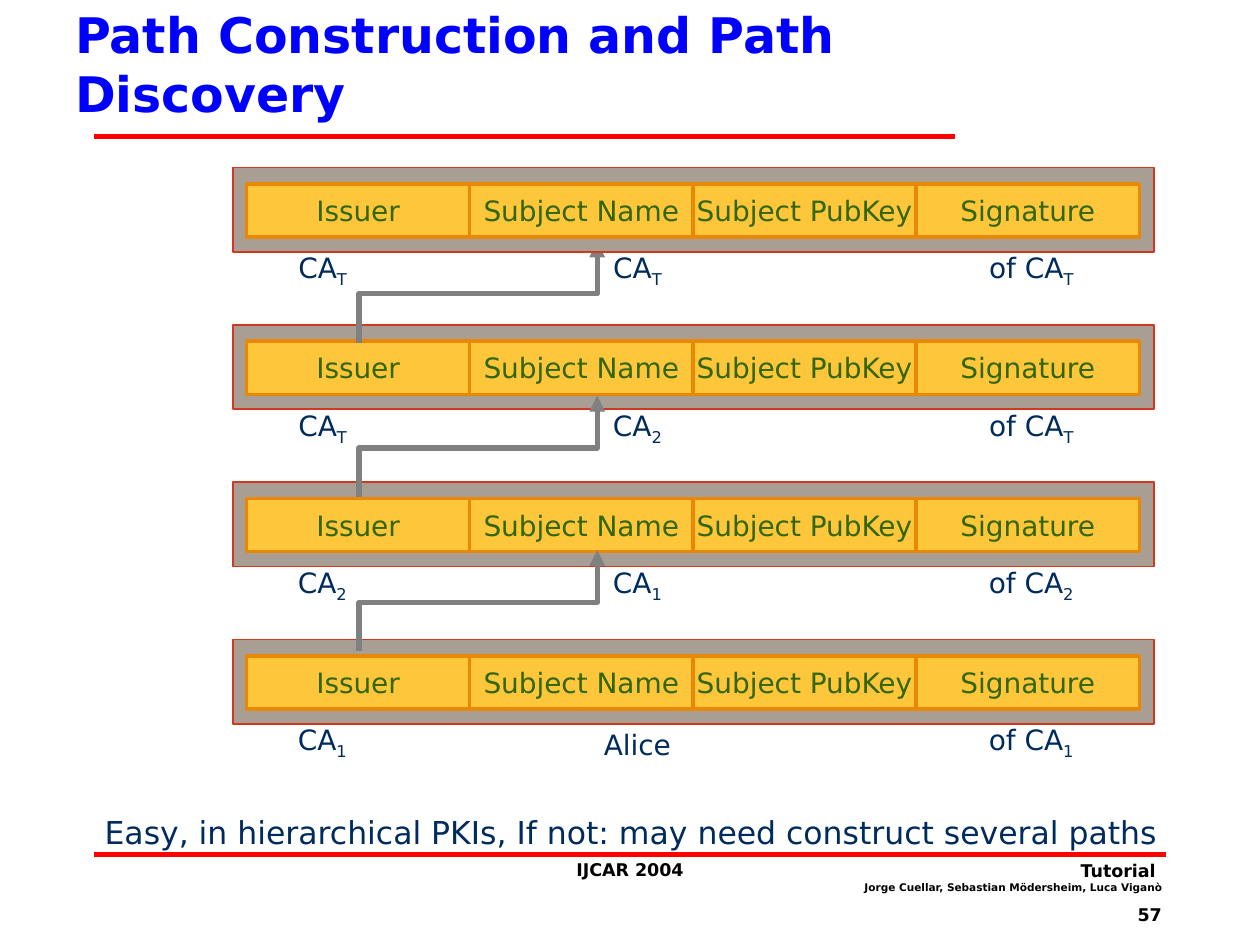
from dataclasses import dataclass

from lxml import etree
from pptx import Presentation
from pptx import util as u
from pptx.dml.color import RGBColor
from pptx.enum import shapes, text
from pptx.oxml.ns import qn

Cm, Pt = u.Cm, u.Pt
ALIGN, ANCHOR = text.PP_ALIGN, text.MSO_ANCHOR


@dataclass(frozen=True)
class Theme:
    font: str = "DejaVu Sans"
    title: str = "0000FF"
    rule: str = "FF0000"
    footer: str = "000000"
    body: str = "002B5D"
    frame: str = "A89E94"
    frame_line: str = "D1381F"
    field: str = "FEC63A"
    field_line: str = "E98807"
    field_text: str = "336600"
    arrow: str = "808080"
    title_size: int = 28
    note_size: int = 18
    label_size: int = 16
    footer_size: int = 10
    authors_size: int = 6


THEME = Theme()


def write(sp, paragraphs, color, align=ALIGN.LEFT, bold=False, spacing=None, **frame):
    """Fill a shape with (text, size) paragraphs; text after "_" is a subscript."""
    tf = sp.text_frame
    values = dict(word_wrap=True, vertical_anchor=ANCHOR.TOP, margin_left=Cm(0.25),
                  margin_right=Cm(0.25), margin_top=Cm(0.13), margin_bottom=Cm(0.13))
    for name, value in (values | frame).items():
        setattr(tf, name, value)
    for i, (words, size) in enumerate(paragraphs):
        p = tf.add_paragraph() if i else tf.paragraphs[0]
        p.alignment, p.line_spacing = align, spacing
        for j, part in enumerate(words.split("_")):
            r = p.add_run()
            r.text = part
            for name, value in dict(name=THEME.font, size=Pt(size), bold=bold).items():
                setattr(r.font, name, value)
            r.font.color.rgb = RGBColor.from_string(color)
            if j:
                r.font._element.set("baseline", "-25000")


def paint(sp, line, width, fill=None):
    sp.shadow.inherit = False
    sp.line.color.rgb = RGBColor.from_string(line)
    sp.line.width = Pt(width)
    if fill:
        sp.fill.solid()
        sp.fill.fore_color.rgb = RGBColor.from_string(fill)
    else:
        sp.fill.background()


prs = Presentation()
prs.slide_width, prs.slide_height = Cm(25.4), Cm(19.05)
s = prs.slides.add_slide(prs.slide_layouts[6])

# Red rules below the title and above the footer
for right, y in ((19.25, 2.75), (23.5, 17.22)):
    rule = s.shapes.add_connector(shapes.MSO_CONNECTOR.STRAIGHT, Cm(1.9), Cm(y), Cm(right), Cm(y))
    rule.line.color.rgb = RGBColor.from_string(THEME.rule)
    rule.line.width = Pt(3)
    etree.SubElement(rule._element.spPr, qn("a:effectLst"))

# Footer, title and closing note
size = THEME.footer_size
footer = dict(color=THEME.footer, bold=True)
texts = [
    ((21.64, 18.09, 2.03, 0.64), [("57", size)], dict(footer, align=ALIGN.RIGHT)),
    ((10.06, 17.19, 5.28, 1.27), [("IJCAR 2004", size)], dict(footer, align=ALIGN.CENTER)),
    ((15.34, 17.2, 8.33, 1.27),
     [("Tutorial ", size),
      ("Jorge Cuellar, Sebastian Mödersheim, Luca Viganò", THEME.authors_size)],
     dict(footer, align=ALIGN.RIGHT, margin_left=0)),
    ((1.27, 0, 16.99, 2.57), [("Path Construction and Path Discovery", THEME.title_size)],
     dict(color=THEME.title, bold=True, vertical_anchor=ANCHOR.MIDDLE)),
    ((2.11, 16.31, 22.61, 0.97),
     [("Easy, in hierarchical PKIs, If not: may need construct several paths", THEME.note_size)],
     dict(color=THEME.body, spacing=Pt(24), margin_left=0, margin_top=0)),
]
for box, paragraphs, style in texts:
    write(s.shapes.add_textbox(*map(Cm, box)), paragraphs, **style)

# Certificates, from the end user at the bottom up to the trust anchor
FIELDS = ["Issuer", "Subject Name", "Subject PubKey", "Signature"]
FIELD_WIDTH = 4.5
LABEL_PLACES = [(4.24, ALIGN.RIGHT), (11.35, ALIGN.CENTER), (18.89, ALIGN.RIGHT)]
CERTIFICATES = [  # issuer, subject, signature
    ("CA_T", "CA_T", "of CA_T"),
    ("CA_T", "CA_2", "of CA_T"),
    ("CA_2", "CA_1", "of CA_2"),
    ("CA_1", "Alice", "of CA_1"),
]
LAST = len(CERTIFICATES) - 1

for row in range(LAST, -1, -1):
    top = 3.38 + 3.17 * row
    bars = [(4.7, top, 18.57, 1.7, None)]
    bars += [(4.97 + FIELD_WIDTH * i, top + 0.33, FIELD_WIDTH, 1.07, name)
             for i, name in enumerate(FIELDS)]
    # The topmost arrow runs behind its certificate, the others in front
    steps = ["bars"] if row == LAST else ["arrow", "bars"] if row == 0 else ["bars", "arrow"]
    for step in steps:
        if step == "arrow":
            start = 6.91 + 3.11 * row
            bend, tip = start - 0.99, start - 2.04
            route = s.shapes.build_freeform(Cm(7.24), Cm(start))
            corners = [(7.24, bend), (12.04, bend), (12.04, tip)]
            route.add_line_segments([(Cm(x), Cm(y)) for x, y in corners], close=False)
            arrow = route.convert_to_shape()
            paint(arrow, THEME.arrow, 3)
            etree.SubElement(arrow.line._get_or_add_ln(), qn("a:tailEnd"), type="triangle")
            continue
        for x, y, width, height, name in bars:
            sp = s.shapes.add_shape(shapes.MSO_SHAPE.RECTANGLE, Cm(x), Cm(y), Cm(width), Cm(height))
            if name:
                paint(sp, THEME.field_line, 2, THEME.field)
                write(sp, [(name, THEME.label_size)], THEME.field_text, ALIGN.CENTER,
                      word_wrap=False, vertical_anchor=ANCHOR.MIDDLE)
            else:
                paint(sp, THEME.frame_line, 1, THEME.frame)
    for label, (x, align) in zip(CERTIFICATES[row], LABEL_PLACES):
        sp = s.shapes.add_textbox(Cm(x), Cm(top + 1.6), Cm(3), Cm(0.97))
        write(sp, [(label, THEME.label_size)], THEME.body, align, spacing=Pt(24), margin_top=0)

prs.save("out.pptx")
